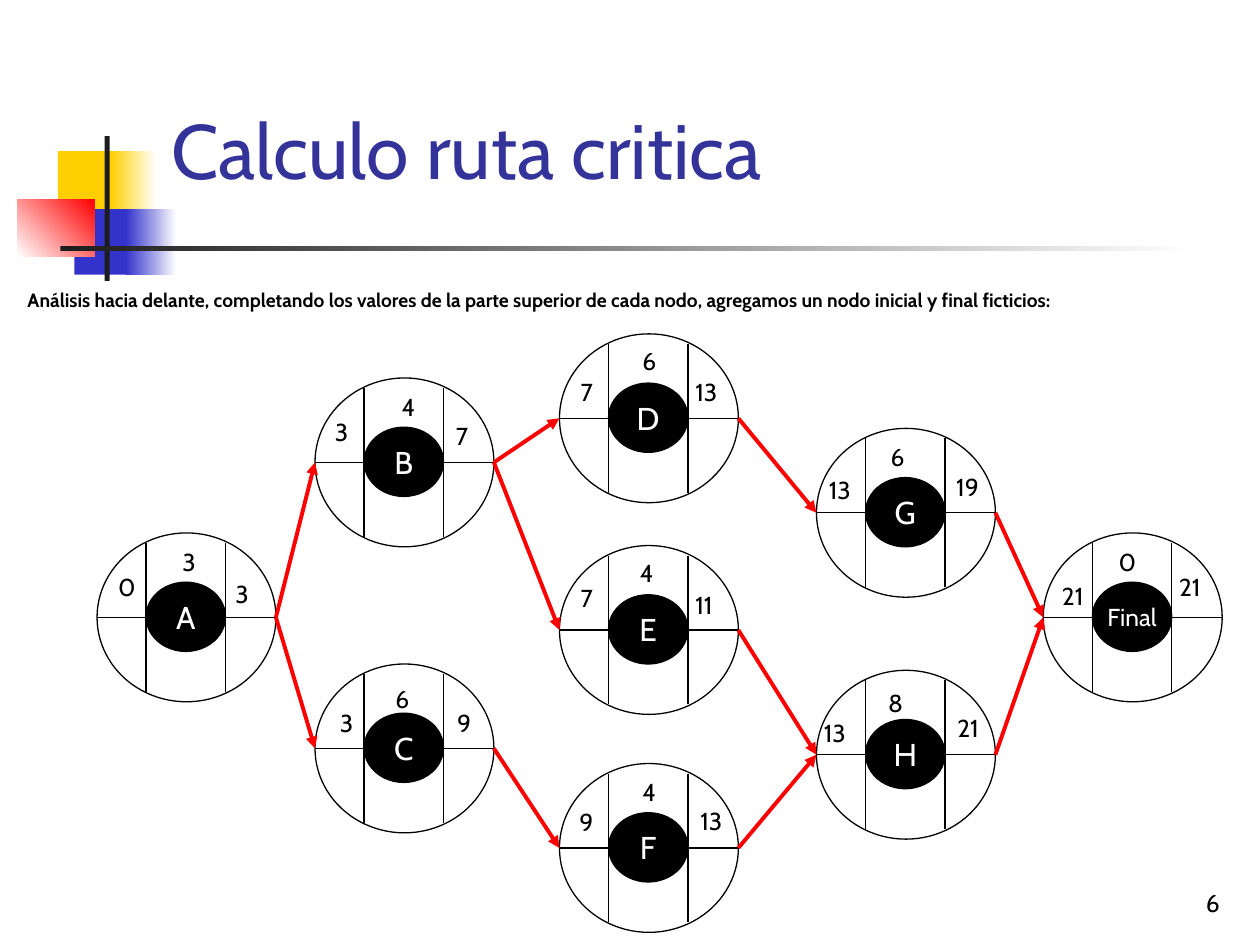
"""Build the critical path slide with its activity network."""
from lxml import etree
from pptx import Presentation
from pptx.dml.color import RGBColor
from pptx.enum import shapes, text
from pptx.oxml import ns
from pptx.util import Inches, Pt

BLACK = RGBColor(0x00, 0x00, 0x00)
WHITE = RGBColor(0xFF, 0xFF, 0xFF)
CHARCOAL = RGBColor(0x1C, 0x1C, 0x1C)
YELLOW = RGBColor(0xFF, 0xCF, 0x01)
BLUE = RGBColor(0x33, 0x33, 0xCC)
NAVY = RGBColor(0x33, 0x33, 0x99)
RED = RGBColor(0xFF, 0x00, 0x00)

NODE_WIDTH, NODE_HEIGHT = 1.42, 1.34
MIDDLE = NODE_HEIGHT / 2


def write(box, wording, size, color, align=text.PP_ALIGN.LEFT,
          anchor=text.MSO_ANCHOR.TOP, side=0.1, bottom=0.05, bold=False, wrap=True):
    frame = box.text_frame
    layout = {"word_wrap": wrap, "vertical_anchor": anchor,
              "margin_left": Inches(side), "margin_right": Inches(side),
              "margin_top": Inches(0.05), "margin_bottom": Inches(bottom)}
    for name, value in layout.items():
        setattr(frame, name, value)
    para = frame.paragraphs[0]
    para.alignment = align
    span = para.add_run()
    span.text = wording
    for name, value in {"name": "Cabin", "size": Pt(size), "bold": bold}.items():
        setattr(span.font, name, value)
    span.font.color.rgb = color


def connect(parent, start, end, color, width):
    line = parent.add_connector(shapes.MSO_CONNECTOR.STRAIGHT,
                                *[Inches(value) for value in (*start, *end)])
    line.line.color.rgb = color
    line.line.width = Pt(width)
    etree.SubElement(line._element.spPr, ns.qn("a:effectLst"))
    return line


deck = Presentation()
deck.slide_width, deck.slide_height = Inches(10), Inches(7.5)
page = deck.slides.add_slide(deck.slide_layouts[6])

ornaments = [
    ((0.46, 1.2, 0.48, 0.52), (YELLOW,), 0),
    ((0.88, 1.2, 0.36, 0.52), (YELLOW, WHITE), 0),
    ((0.59, 1.66, 0.46, 0.52), (BLUE,), 0),
    ((1, 1.66, 0.4, 0.52), (BLUE, WHITE), 0),
    ((0.14, 1.58, 0.61, 0.46), (WHITE, RED), 45),
    ((0.83, 1.08, 0.04, 1.15), (CHARCOAL,), 0),
    ((0.48, 1.95, 9, 0.04), (CHARCOAL, WHITE), 0),
]
for place, colors, angle in ornaments:
    ornament = page.shapes.add_shape(shapes.MSO_SHAPE.RECTANGLE,
                                     *[Inches(value) for value in place])
    ornament.shadow.inherit = False
    ornament.line.fill.background()
    if len(colors) == 1:
        ornament.fill.solid()
        ornament.fill.fore_color.rgb = colors[0]
    else:
        ornament.fill.gradient()
        ornament.fill.gradient_angle = angle
        for stop, color, position in zip(ornament.fill.gradient_stops, colors, (0, 1)):
            stop.color.rgb = color
            stop.position = position

captions = [
    ((7.7, 6.83, 2.08, 0.5), "6",
     {"size": 14, "color": BLACK, "align": text.PP_ALIGN.RIGHT,
      "anchor": text.MSO_ANCHOR.BOTTOM}),
    ((1.26, 0.23, 8.52, 1.6), "Calculo ruta critica",
     {"size": 44, "color": NAVY, "anchor": text.MSO_ANCHOR.BOTTOM, "bottom": 0.28}),
    ((0.12, 2.24, 9.37, 0.47),
     "Análisis hacia delante, completando los valores de la parte superior "
     "de cada nodo, agregamos un nodo inicial y final ficticios:",
     {"size": 11, "color": BLACK, "bold": True}),
]
for place, wording, look in captions:
    box = page.shapes.add_textbox(*[Inches(value) for value in place])
    write(box, wording, **look)

nodes = {
    "A": (0.77, 4.23), "B": (2.5, 3), "C": (2.5, 5.27),
    "D": (4.44, 2.65), "E": (4.44, 4.33), "F": (4.44, 6.06),
    "G": (6.48, 3.4), "H": (6.48, 5.32), "Final": (8.28, 4.23),
}
for name, (left, top) in nodes.items():
    group = page.shapes.add_group_shape().shapes
    ring = group.add_shape(shapes.MSO_SHAPE.OVAL, Inches(left), Inches(top),
                           Inches(NODE_WIDTH), Inches(NODE_HEIGHT))
    ring.fill.background()
    connect(group, (left, top + MIDDLE), (left + NODE_WIDTH, top + MIDDLE), BLACK, 0.75)
    for offset in (0.39, 1.02):
        connect(group, (left + offset, top + 0.08),
                (left + offset, top + 1.26), BLACK, 0.75)
    core = group.add_shape(shapes.MSO_SHAPE.OVAL, Inches(left + 0.39),
                           Inches(top + 0.39), Inches(0.63), Inches(0.55))
    core.fill.solid()
    core.fill.fore_color.rgb = BLACK
    for oval in (ring, core):
        oval.shadow.inherit = False
        oval.line.color.rgb = BLACK
        oval.line.width = Pt(0.75)
    write(core, name, 18 if len(name) == 1 else 14, WHITE, text.PP_ALIGN.CENTER,
          text.MSO_ANCHOR.MIDDLE, side=0, wrap=False)

routes = [("B", "D"), ("A", "C"), ("C", "F"), ("F", "H"), ("B", "E"), ("A", "B"),
          ("D", "G"), ("E", "H"), ("G", "Final"), ("H", "Final")]
for origin, target in routes:
    (start_left, start_top), (end_left, end_top) = nodes[origin], nodes[target]
    arrow = connect(page.shapes, (start_left + NODE_WIDTH, start_top + MIDDLE),
                    (end_left, end_top + MIDDLE), RED, 2.25)
    etree.SubElement(arrow.line._get_or_add_ln(), ns.qn("a:tailEnd"), type="triangle")

times = [
    ("0", 0.84, 4.49, 0.33), ("3", 1.35, 4.29, 0.33), ("3", 1.77, 4.55, 0.33),
    ("3", 2.56, 3.26, 0.33), ("4", 3.09, 3.06, 0.33), ("7", 3.52, 3.29, 0.33),
    ("3", 2.6, 5.57, 0.33), ("6", 3.04, 5.38, 0.33), ("9", 3.53, 5.57, 0.33),
    ("7", 4.51, 2.94, 0.33), ("6", 5, 2.7, 0.33), ("13", 5.42, 2.94, 0.43),
    ("7", 4.51, 4.58, 0.33), ("4", 4.98, 4.38, 0.33), ("11", 5.42, 4.63, 0.43),
    ("9", 4.5, 6.36, 0.33), ("4", 5, 6.12, 0.33), ("13", 5.46, 6.35, 0.46),
    ("13", 6.48, 3.72, 0.43), ("6", 6.97, 3.46, 0.43), ("19", 7.49, 3.7, 0.43),
    ("13", 6.44, 5.65, 0.46), ("8", 6.95, 5.41, 0.46), ("21", 7.5, 5.61, 0.46),
    ("21", 8.33, 4.56, 0.46), ("0", 8.78, 4.29, 0.46), ("21", 9.26, 4.49, 0.46),
]
for value, left, top, width in times:
    box = page.shapes.add_textbox(Inches(left), Inches(top), Inches(width), Inches(0.34))
    write(box, value, 14, BLACK)

deck.save("out.pptx")
